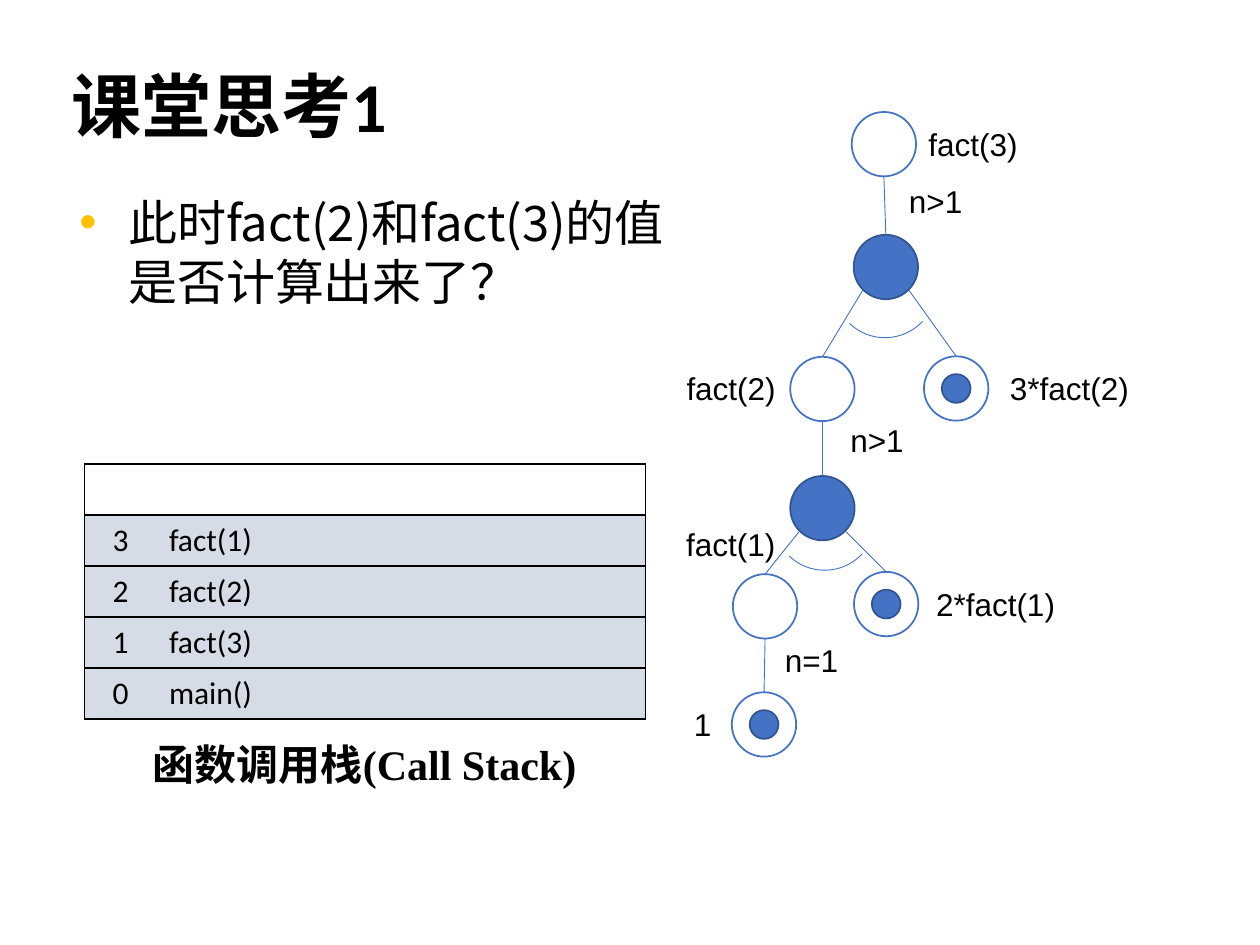
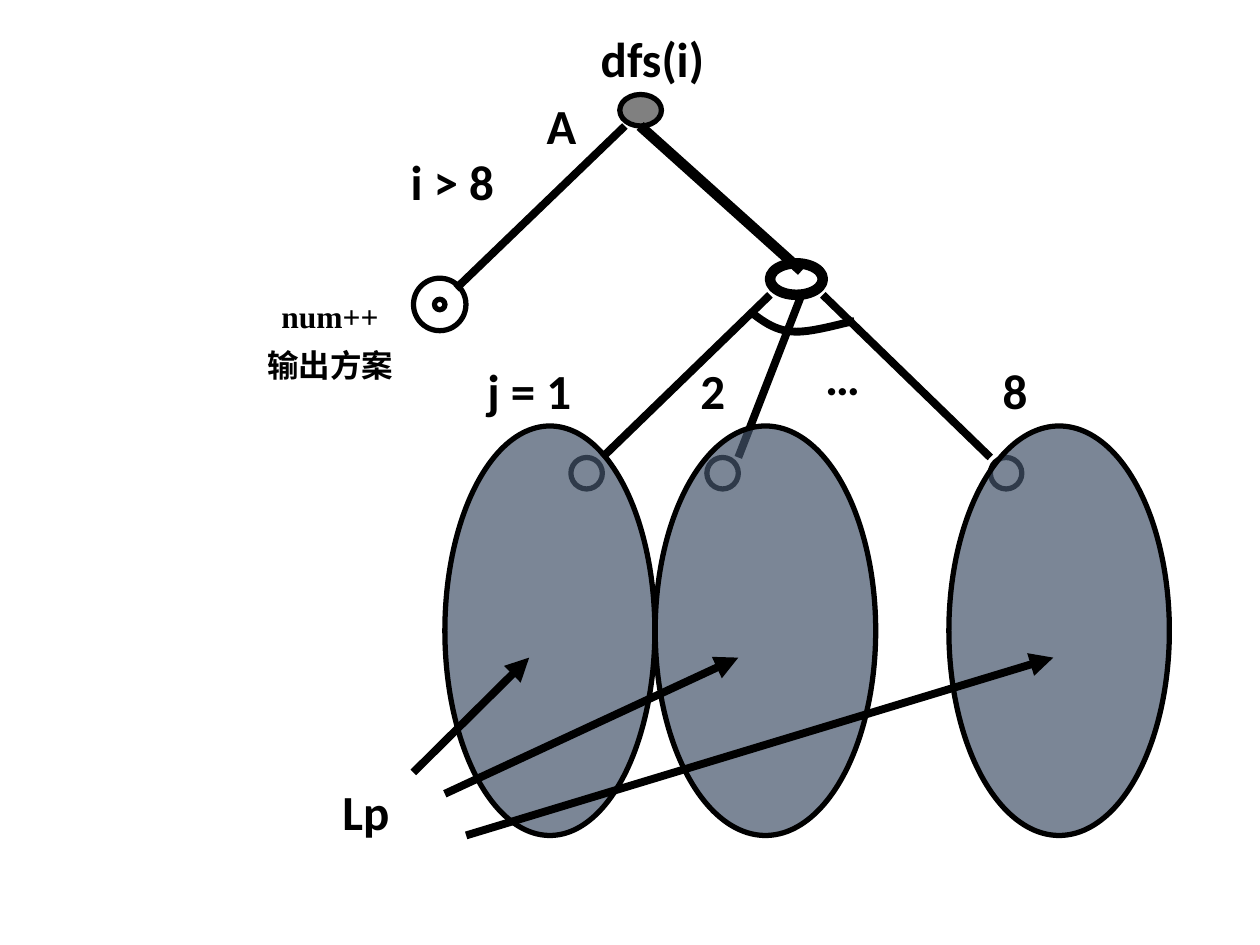
"""Build two slides on recursion: a factorial call tree and a depth-first search tree."""
from lxml.etree import SubElement
from pptx import Presentation
from pptx.dml.color import RGBColor
from pptx.enum.shapes import MSO_CONNECTOR, MSO_SHAPE
from pptx.enum.text import MSO_ANCHOR, MSO_AUTO_SIZE, PP_ALIGN
from pptx.oxml.ns import qn
from pptx.util import Pt

COLORS = {
    "black": "000000",
    "white": "FFFFFF",
    "gray": "808080",
    "blue": "4472C4",
    "navy": "325491",
    "slate": "44546A",
    "row": "D6DCE5",
    "gold": "FFC000",
}
EAST_ASIAN_FONT = "Noto Sans CJK SC"
FORMATS = {
    "title": {"name": "Calibri", "size": Pt(40), "bold": True},
    "body": {"name": EAST_ASIAN_FONT, "size": Pt(28)},
    "cell": {"name": "Calibri", "size": Pt(18)},
    "caption": {"name": "Times New Roman", "size": Pt(24), "bold": True},
    "label": {"name": "Arial", "size": Pt(18)},
    "heading": {"name": "Calibri", "size": Pt(28), "bold": True},
    "note": {"name": "Times New Roman", "size": Pt(18), "bold": True},
}
NODE_RADIUS = 18.4
DOT_RADIUS = 8.2


def color(name):
    return RGBColor.from_string(COLORS[name])


def cubic(start, first, second, end, steps=12):
    """Return points along a cubic curve, without its start."""
    points = []
    for step in range(1, steps + 1):
        t = step / steps
        weights = ((1 - t) ** 3, 3 * t * (1 - t) ** 2, 3 * t * t * (1 - t), t ** 3)
        corners = (start, first, second, end)
        points.append(tuple(sum(w * c[axis] for w, c in zip(weights, corners))
                            for axis in (0, 1)))
    return points


class Deck:
    """Holds the presentation, its style and the current slide."""

    def __init__(self):
        self.presentation = Presentation()
        self.presentation.slide_width = Pt(720)
        self.presentation.slide_height = Pt(540)
        self.slide = None

    def add_slide(self):
        self.slide = self.presentation.slides.add_slide(self.presentation.slide_layouts[6])

    def format_paragraph(self, paragraph, text, style):
        run = paragraph.add_run()
        run.text = text
        for key, value in FORMATS[style].items():
            setattr(run.font, key, value)
        run.font.color.rgb = color("black")
        SubElement(run.font._element, qn("a:ea"), typeface=EAST_ASIAN_FONT)

    def text(self, box, lines, style, wrap=True, frame_format=None, **paragraph_format):
        shape = self.slide.shapes.add_textbox(*map(Pt, box))
        frame = shape.text_frame
        values = {"word_wrap": wrap, "vertical_anchor": MSO_ANCHOR.TOP}
        for key, value in {**values, **(frame_format or {})}.items():
            setattr(frame, key, value)
        for index, line in enumerate(lines):
            paragraph = frame.add_paragraph() if index else frame.paragraphs[0]
            for key, value in paragraph_format.items():
                if index or key != "space_before":
                    setattr(paragraph, key, value)
            self.format_paragraph(paragraph, line, style)
        return frame

    def bullet(self, box, line, **options):
        frame = self.text(box, [line], "body", **options)
        properties = frame.paragraphs[0]._p.get_or_add_pPr()
        properties.set("marL", str(Pt(28)))
        properties.set("indent", str(Pt(-28)))
        tint = SubElement(properties, qn("a:buClr"))
        SubElement(tint, qn("a:srgbClr"), val=COLORS["gold"])
        SubElement(properties, qn("a:buFont"), typeface="Arial")
        SubElement(properties, qn("a:buChar"), char="•")

    def label(self, left, top, width, text):
        self.text((left, top, width, 28.8), [text], "label", wrap=False,
                  frame_format={"auto_size": MSO_AUTO_SIZE.SHAPE_TO_FIT_TEXT})

    def outline(self, shape, fill, line, width, opacity=None):
        shape.shadow.inherit = False
        if fill:
            shape.fill.solid()
            shape.fill.fore_color.rgb = color(fill)
        else:
            shape.fill.background()
        if opacity:
            tint = shape._element.spPr.find(qn("a:solidFill"))[0]
            SubElement(tint, qn("a:alpha"), val=str(opacity * 1000))
        shape.line.color.rgb = color(line)
        shape.line.width = Pt(width)

    def ellipse(self, box, fill=None, line="black", width=3, opacity=None):
        shape = self.slide.shapes.add_shape(MSO_SHAPE.OVAL, *map(Pt, box))
        self.outline(shape, fill, line, width, opacity)

    def circle(self, center, radius, **options):
        x, y = center
        self.ellipse((x - radius, y - radius, 2 * radius, 2 * radius), **options)

    def node(self, center, kind):
        filled = {"fill": "blue", "line": "navy", "width": 1}
        hollow = {"fill": "white", "line": "blue", "width": 1}
        self.circle(center, NODE_RADIUS, **(filled if kind == "and" else hollow))
        if kind == "end":
            self.circle(center, DOT_RADIUS, **filled)

    def arc(self, box):
        shape = self.slide.shapes.add_shape(MSO_SHAPE.ARC, *map(Pt, box))
        shape.adjustments[0] = 162
        shape.adjustments[1] = 0.54
        shape.rotation = 133.6
        self.outline(shape, None, "blue", 0.5)

    def line(self, start, end, tint="black", width=4.5, arrow=False):
        connector = self.slide.shapes.add_connector(
            MSO_CONNECTOR.STRAIGHT, *map(Pt, (*start, *end)))
        connector.line.color.rgb = color(tint)
        connector.line.width = Pt(width)
        properties = connector._element.spPr
        if arrow:
            SubElement(properties.find(qn("a:ln")), qn("a:tailEnd"), type="triangle")
        SubElement(properties, qn("a:effectLst"))

    def branch(self, parent, child):
        """Join a node to the top of a child below it, straight or slanted."""
        side = (child[0] - parent[0]) / NODE_RADIUS
        reach = NODE_RADIUS * 0.71
        if abs(side) < 0.5:
            start = (parent[0], parent[1] + NODE_RADIUS)
        else:
            start = (parent[0] + (reach if side > 0 else -reach), parent[1] + reach)
        self.line(start, (child[0], child[1] - NODE_RADIUS), "blue", 0.5)

    def curve(self, points, width):
        (x, y), *rest = [(Pt(px), Pt(py)) for px, py in points]
        builder = self.slide.shapes.build_freeform(x, y)
        builder.add_line_segments(rest, close=False)
        self.outline(builder.convert_to_shape(), None, "black", width)

    def cell_borders(self, cell, sides):
        properties = cell._tc.get_or_add_tcPr()
        for side in "LRTB":
            border = SubElement(properties, qn(f"a:ln{side}"), w=str(Pt(1)))
            if side in sides:
                tint = SubElement(border, qn("a:solidFill"))
                SubElement(tint, qn("a:srgbClr"), val=COLORS["black"])
            else:
                SubElement(border, qn("a:noFill"))

    def stack_table(self, left, top, widths, row_height, rows):
        table = self.slide.shapes.add_table(
            len(rows), len(widths), Pt(left), Pt(top),
            Pt(sum(widths)), Pt(row_height * len(rows))).table
        table.first_row = table.horz_banding = False
        for column, width in zip(table.columns, widths):
            column.width = Pt(width)
        for row_index, values in enumerate(rows):
            table.rows[row_index].height = Pt(row_height)
            for column_index, value in enumerate(values):
                cell = table.cell(row_index, column_index)
                self.cell_borders(cell, "RTB" if column_index else "LTB")
                paragraph = cell.text_frame.paragraphs[0]
                if value:
                    cell.fill.solid()
                    cell.fill.fore_color.rgb = color("row")
                    self.format_paragraph(paragraph, value, "cell")
                else:
                    cell.fill.background()
                    paragraph.font.size = Pt(18)
                if not column_index:
                    paragraph.alignment = PP_ALIGN.CENTER


def build_factorial_slide(deck):
    deck.add_slide()
    deck.text((33.8, 33.8, 652.3, 69.8), ["课堂思考1"], "title", line_spacing=Pt(46.7))
    deck.bullet((38.2, 103.7, 351.4, 182.9), "此时fact(2)和fact(3)的值是否计算出来了？",
                frame_format={"margin_top": Pt(6)}, line_spacing=Pt(33.7))
    calls = ["main()", "fact(3)", "fact(2)", "fact(1)"]
    rows = [(str(depth), call) for depth, call in enumerate(calls)]
    deck.stack_table(48.4, 265, (41, 279.4), 29.2, [("", "")] + rows[::-1])
    deck.text((48.2, 421.9, 320.4, 36.7), ["函数调用栈(Call Stack)"], "caption",
              frame_format={"margin_top": 0}, alignment=PP_ALIGN.CENTER)

    nodes = {
        "fact3": ((505.1, 82.4), "or"),
        "and3": ((506.2, 152.6), "and"),
        "fact2": ((470, 222.3), "or"),
        "product3": ((546.4, 222), "end"),
        "and2": ((470, 290.4), "and"),
        "fact1": ((437.2, 346.5), "or"),
        "product2": ((506.4, 345.2), "end"),
        "one": ((436.6, 414), "end"),
    }
    branches = [("fact3", "and3"), ("and3", "fact2"), ("and3", "product3"),
                ("fact2", "and2"), ("and2", "fact1"), ("and2", "product2"),
                ("fact1", "one")]
    for center, kind in nodes.values():
        deck.node(center, kind)
    for parent, child in branches:
        deck.branch(nodes[parent][0], nodes[child][0])
    for left, top in ((476.6, 134.7), (442.1, 267.6)):
        deck.arc((left, top, 59, 58))
    for left, top, width, text in (
            (523.4, 67.9, 66.2, "fact(3)"), (512.3, 100.6, 45.4, "n>1"),
            (385.2, 207.4, 66.2, "fact(2)"), (570, 207.4, 83.5, "3*fact(2)"),
            (478.8, 237, 45.4, "n>1"), (385, 296.6, 66.2, "fact(1)"),
            (527.8, 330.7, 83.5, "2*fact(1)"), (441.4, 362.9, 45.4, "n=1"),
            (389.5, 399.6, 24.5, "1")):
        deck.label(left, top, width, text)


def build_search_slide(deck):
    deck.add_slide()
    deck.ellipse((354.2, 54, 23.8, 18), fill="gray")
    deck.ellipse((440, 150.5, 30.2, 18), fill="white", width=6, opacity=70)
    deck.line((365.8, 72), (458, 154.8), width=6)
    for left in (326.2, 403.9, 565.9):
        deck.ellipse((left, 261.4, 18, 18))
    for start_x, end_x in ((440, 344.2), (458, 421.9), (470.2, 565.9)):
        deck.line((start_x, 168.5), (end_x, 261.4))
    for left, width in ((254.2, 120), (374.4, 126), (542.2, 126)):
        deck.ellipse((left, 243.4, width, 234), fill="slate", opacity=70)
    start, middle, end = (428.4, 177.8), (452.2, 189.4), (488.2, 183.6)
    deck.curve([start, *cubic(start, (434.9, 182.9), (442.1, 188.6), middle),
                *cubic(middle, (462.2, 190.8), (482.4, 184.3), end)], 4.5)
    for tail, head_x in (((236.2, 441.4), 302.4), ((254.2, 453.6), 421.9),
                         ((266.4, 477.4), 601.9)):
        deck.line(tail, (head_x, 375.8), arrow=True)
    deck.line((357.1, 72), (260.6, 164.9))
    deck.circle((251.3, 174), 15)
    deck.circle((251.3, 174), 3, fill="white", opacity=70)
    for left, top, width, text in (
            (336.2, 13, 113.8, "dfs(i)"), (305.3, 51.1, 44.6, "A"),
            (188.6, 442.8, 56.9, "Lp"), (271.4, 202.3, 85, "j = 1"),
            (393.1, 202.3, 36, "2"), (565.9, 202.3, 36, "8"),
            (464.4, 194.4, 54, "…"), (227.5, 82.8, 85, "i > 8")):
        deck.text((left, top, width, 41), [text], "heading")
    deck.text((144.7, 166.3, 87.8, 61.9), ["num++", "输出方案"], "note",
              alignment=PP_ALIGN.CENTER, space_before=Pt(6))


def main():
    deck = Deck()
    build_factorial_slide(deck)
    build_search_slide(deck)
    deck.presentation.save("out.pptx")


if __name__ == "__main__":
    main()
